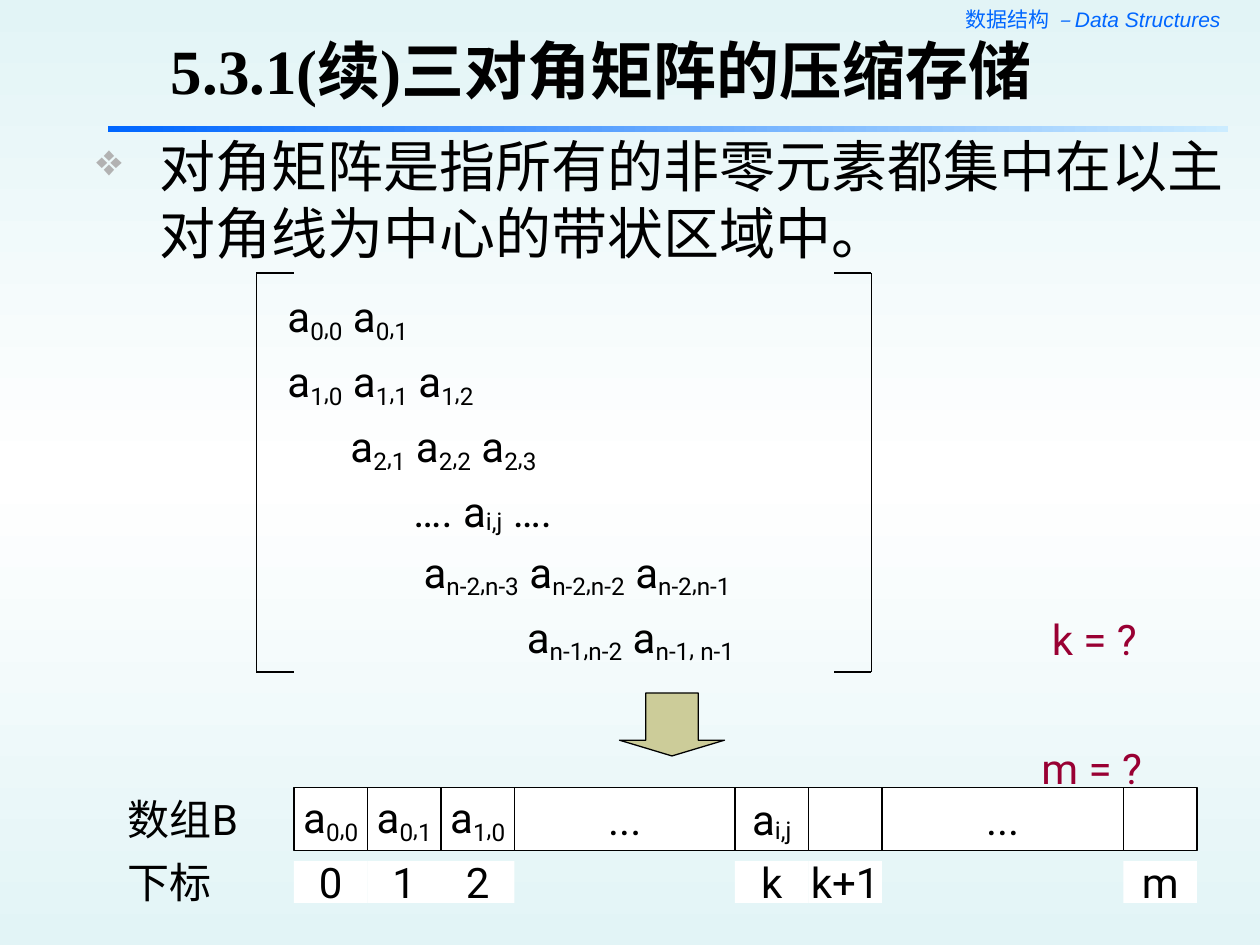
from copy import deepcopy
from typing import NamedTuple

from pptx import Presentation
from pptx.dml.color import RGBColor
from pptx.enum.shapes import MSO_CONNECTOR as Connector, MSO_SHAPE as Preset
from pptx.enum.text import MSO_ANCHOR as Anchor, PP_ALIGN as Align
from pptx.oxml.ns import qn
from pptx.oxml.xmlchemy import OxmlElement
from pptx.util import Emu, Inches, Pt

COLORS = {
    "ink": "000000", "white": "FFFFFF", "sky": "E2F4F6", "blue": "0066FF",
    "pale": "CCECFF", "olive": "CCCC99", "question": "990033", "bullet": "B2B2B2",
}
CJK, LATIN, SERIF = "Noto Sans CJK SC", "Roboto", "Times New Roman"
COLS, ROWS = 120, 90  # grid over the whole slide
SUBSCRIPT, COMMA = -18, -10


class Box(NamedTuple):
    """Area in grid columns and rows."""
    col: float
    row: float
    cols: float
    rows: float


class MatrixRow(NamedTuple):
    indent: float  # inches
    terms: tuple[str, ...]


class ArrayCell(NamedTuple):
    cols: int
    term: str = ""
    index: str = ""


MATRIX = (
    MatrixRow(0, ("a0,0", "a0,1")),
    MatrixRow(0, ("a1,0", "a1,1", "a1,2")),
    MatrixRow(0.5, ("a2,1", "a2,2", "a2,3")),
    MatrixRow(1, ("….", "ai,j", "….")),
    MatrixRow(1.08, ("an-2,n-3", "an-2,n-2", "an-2,n-1")),
    MatrixRow(1.9, ("an-1,n-2", "an-1, n-1")),
)
ARRAY = (
    ArrayCell(7, "a0,0", "0"), ArrayCell(7, "a0,1", "1"), ArrayCell(7, "a1,0", "2"),
    ArrayCell(21, "..."), ArrayCell(7, "ai,j", "k"), ArrayCell(7, index="k+1"),
    ArrayCell(23, "..."), ArrayCell(7, index="m"),
)

prs = Presentation()
prs.slide_width, prs.slide_height = Inches(10), Inches(7.5)
slide = prs.slides.add_slide(prs.slide_layouts[6])


def rgb(name: str) -> RGBColor:
    return RGBColor.from_string(COLORS[name])


def x(col: float) -> Emu:
    return Emu(round(prs.slide_width * col / COLS))


def y(row: float) -> Emu:
    return Emu(round(prs.slide_height * row / ROWS))


def place(box: Box) -> tuple[Emu, Emu, Emu, Emu]:
    return x(box.col), y(box.row), x(box.cols), y(box.rows)


def add_run(paragraph, text: str, size: float = 24, font: str = LATIN,
            color: str = "ink", base: int = 0):
    run = paragraph.add_run()
    run.text = text
    run.font.size, run.font.name = Pt(size), font
    run.font.color.rgb = rgb(color)
    props = run._r.get_or_add_rPr()
    if base:
        props.set("baseline", str(base * 1000))
    east_asian = OxmlElement("a:ea")
    east_asian.set("typeface", CJK)
    props.find(qn("a:latin")).addnext(east_asian)
    return run


def add_term(paragraph, term: str, joint_base: int = COMMA) -> None:
    """Write a matrix element with lowered indices, or plain text."""
    if "," not in term:
        add_run(paragraph, term)
        return
    add_run(paragraph, "a")
    if term == "ai,j":
        add_run(paragraph, "i,j", base=joint_base)
        return
    first, second = term[1:].split(",")
    add_run(paragraph, first, base=SUBSCRIPT)
    add_run(paragraph, ", " if second.startswith(" ") else ",", base=COMMA)
    add_run(paragraph, second.strip(), base=SUBSCRIPT)


def add_text(box: Box):
    frame = slide.shapes.add_textbox(*place(box)).text_frame
    frame.word_wrap = True
    return frame


def add_shape(preset, box: Box, fill: str = "", outlined: bool = True):
    shape = slide.shapes.add_shape(preset, *place(box))
    shape.shadow.inherit = False
    if fill:
        shape.fill.solid()
        shape.fill.fore_color.rgb = rgb(fill)
    if outlined:
        shape.line.color.rgb, shape.line.width = rgb("ink"), Pt(0.75)
    else:
        shape.line.fill.background()
    return shape


def add_cell(box: Box, term: str, outlined: bool) -> None:
    frame = add_shape(Preset.RECTANGLE, box, "white", outlined).text_frame
    frame.word_wrap, frame.vertical_anchor = False, Anchor.MIDDLE
    if term:
        frame.paragraphs[0].alignment = Align.CENTER
        add_term(frame.paragraphs[0], term)


def add_line(col1: float, row1: float, col2: float, row2: float) -> None:
    line = slide.shapes.add_connector(
        Connector.STRAIGHT, x(col1), y(row1), x(col2), y(row2))
    line.line.color.rgb, line.line.width = rgb("ink"), Pt(0.75)
    line._element.spPr.append(OxmlElement("a:effectLst"))


def set_gradient(fill, start: str, end: str, angle: float) -> None:
    fill.gradient()
    fill.gradient_angle = angle
    for stop, color, position in zip(fill.gradient_stops, (start, end), (0, 1)):
        stop.color.rgb, stop.position = rgb(color), position


# Background: white band in the middle
backdrop = slide.background.fill
set_gradient(backdrop, "sky", "sky", 90)
stops = next(slide.element.iter(qn("a:gsLst")))
stops.insert(1, deepcopy(stops[0]))
middle = backdrop.gradient_stops[1]
middle.color.rgb, middle.position = rgb("white"), 0.5

# Course header and rule
course = add_text(Box(72, 0, 46, 3.6)).paragraphs[0]
course.alignment = Align.RIGHT
add_run(course, "数据结构 ", 12, SERIF, "blue")
add_run(course, " – Data Structures ", 12, "Arial", "blue").font.italic = True
rule = add_shape(Preset.RECTANGLE, Box(10.3, 12, 106.7, 0.6), outlined=False)
set_gradient(rule.fill, "blue", "pale", 0)

# Title
heading = add_text(Box(15.1, 5.2, 95.9, 5.5))
heading.vertical_anchor = Anchor.BOTTOM
heading.margin_top = heading.margin_bottom = Inches(0.04)
add_run(heading.paragraphs[0], "5.3.1(续)三对角矩阵的压缩存储", 36, SERIF).font.bold = True

# Matrix rows
matrix = add_text(Box(26.2, 27.1, 55.2, 41.8))
for number, row in enumerate(MATRIX):
    line = matrix.add_paragraph() if number else matrix.paragraphs[0]
    line.space_before = Pt(6 if number else 0)
    line._p.get_or_add_pPr().set("marL", str(Inches(row.indent)))
    for place_in_row, term in enumerate(row.terms):
        if place_in_row:
            add_run(line, " ")
        add_term(line, term, joint_base=-8)

# Matrix brackets
TOP, BOTTOM, TICK = 26, 64, 3.6
for side, inward in ((24.4, TICK), (83, -TICK)):
    add_line(side, TOP, side, BOTTOM)
    for edge in (TOP, BOTTOM):
        add_line(side, edge, side + inward, edge)

# Array B with its indices
for label, label_row in (("数组B", 75), ("下标", 81)):
    add_run(add_text(Box(11, label_row, 15, 6)).paragraphs[0], label)
column = 28
for cell in ARRAY:
    add_cell(Box(column, 75, cell.cols, 6), cell.term, outlined=True)
    if cell.index:
        add_cell(Box(column, 82, cell.cols, 4), cell.index, outlined=False)
    column += cell.cols

# Arrow from matrix to array
arrow = add_shape(Preset.DOWN_ARROW, Box(59, 66, 10, 6), "olive")
arrow.adjustments[0], arrow.adjustments[1] = 0.5, 0.25

# Questions
questions = add_text(Box(98, 57.8, 17, 18.1))
add_run(questions.paragraphs[0], " ")
add_run(questions.paragraphs[0], "k = ?", color="question")
last_index = questions.add_paragraph()
last_index.space_before = Pt(45)
add_run(last_index, "m = ?", color="question")

# Definition with a bullet
definition = add_text(Box(8, 11.9, 110, 14)).paragraphs[0]
bullet_props = definition._p.get_or_add_pPr()
bullet_props.set("marL", str(Inches(0.5)))
bullet_props.set("indent", str(Inches(-0.5)))
bullet_color = OxmlElement("a:buClr")
bullet_rgb = OxmlElement("a:srgbClr")
bullet_rgb.set("val", COLORS["bullet"])
bullet_color.append(bullet_rgb)
bullet_size = OxmlElement("a:buSzPct")
bullet_size.set("val", "80000")
bullet_mark = OxmlElement("a:buChar")
bullet_mark.set("char", "❖")
bullet_props.extend((bullet_color, bullet_size, bullet_mark))
add_run(definition, "对角矩阵是指所有的非零元素都集中在以主对角线为中心的带状区域中。", 32, CJK)

prs.save("out.pptx")
